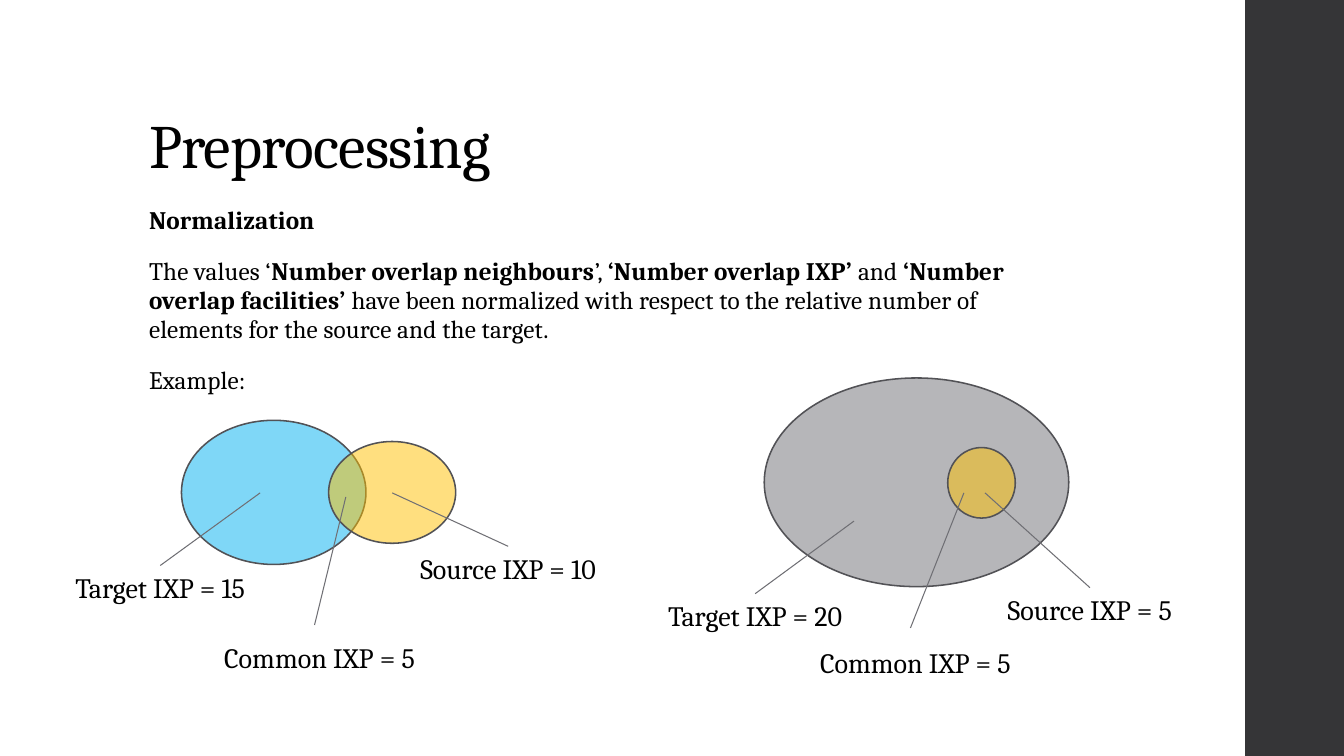
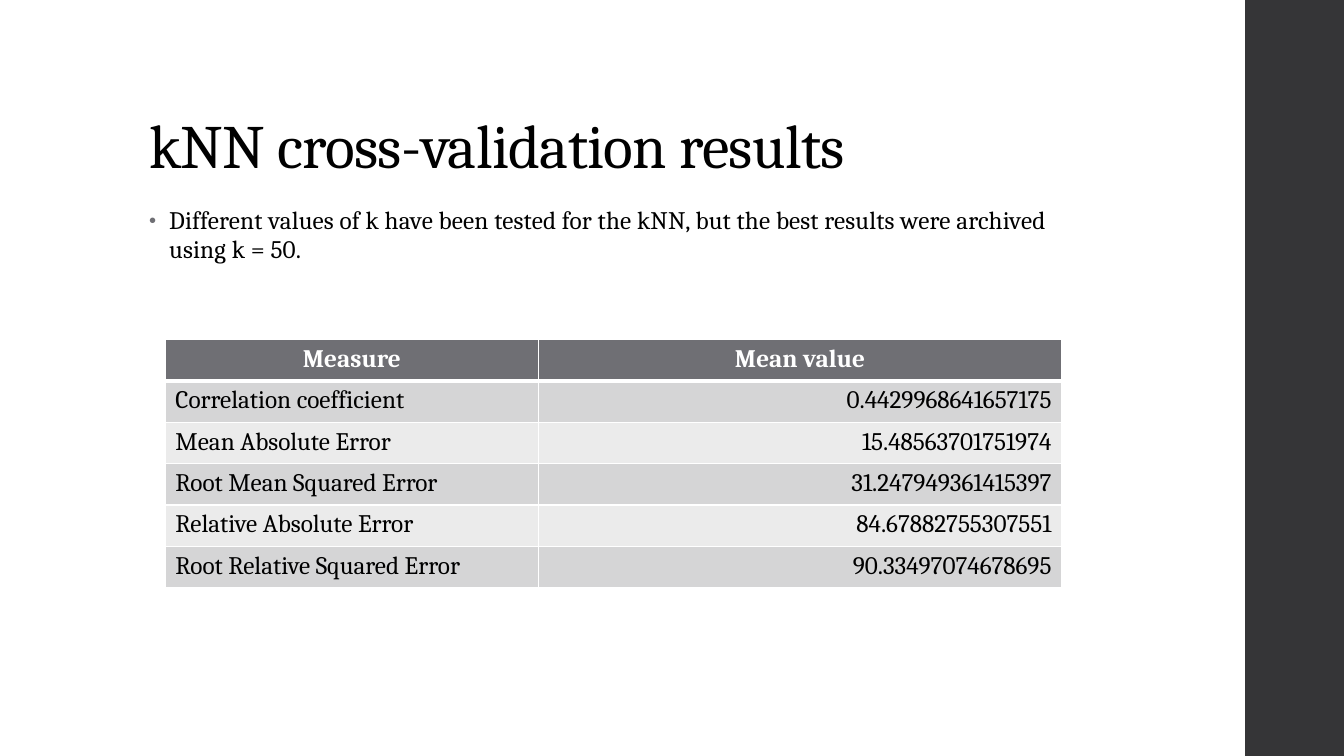
from lxml.etree import SubElement
from pptx import Presentation
from pptx.dml.color import RGBColor
from pptx.enum.shapes import MSO_CONNECTOR as Connector, MSO_SHAPE as Shape
from pptx.enum.text import MSO_ANCHOR as Anchor, PP_ALIGN as Align
from pptx.oxml.ns import qn
from pptx.util import Inches, Pt

COLORS = {
    "text": "000000", "white": "FFFFFF", "band": "353537", "outline": "525256",
    "gray": "6F6F74", "blue": "00B0F0", "gold": "FFC000",
    "row_dark": "D5D5D6", "row_light": "EBEBEB",
}
FONT = "Cambria"
TITLE_FORMAT = {"line_spacing": 0.9}
BODY_FORMAT = {"line_spacing": 0.95, "space_before": Pt(14), "space_after": Pt(2)}


def color(name):
    return RGBColor.from_string(COLORS[name])


def set_format(target, values):
    for name, value in values.items():
        setattr(target, name, value)


class Deck:
    """Holds the style and the current slide."""

    def __init__(self):
        self.prs = Presentation()
        set_format(self.prs, {"slide_width": Inches(13.33), "slide_height": Inches(7.5)})
        self.slide = None

    def new_slide(self, title):
        self.slide = self.prs.slides.add_slide(self.prs.slide_layouts[6])
        band = self.slide.shapes.add_shape(
            Shape.RECTANGLE, Inches(12.35), 0, Inches(0.98), Inches(7.5))
        band.shadow.inherit = False
        band.fill.solid()
        band.fill.fore_color.rgb = color("band")
        band.line.fill.background()
        heading = self.text_frame(1.38, 0.4, 10.6, 1.45)
        heading.vertical_anchor = Anchor.BOTTOM
        self.add_text(heading.paragraphs[0], title, 44, TITLE_FORMAT, tracking=-50)

    def text_frame(self, left, top, width, height, wrap=True):
        box = self.slide.shapes.add_textbox(*map(Inches, (left, top, width, height)))
        box.text_frame.word_wrap = wrap
        return box.text_frame

    def add_text(self, paragraph, text, size, layout, tint="text", tracking=0):
        """Fill a paragraph; parts between asterisks are bold."""
        set_format(paragraph, layout)
        for index, part in enumerate(text.split("*")):
            if not part:
                continue
            run = paragraph.add_run()
            run.text = part
            set_format(run.font, {"name": FONT, "size": Pt(size), "bold": index % 2 == 1})
            run.font.color.rgb = color(tint)
            if tracking:
                run._r.get_or_add_rPr().set("spc", str(tracking))

    def body(self, texts, bullets=False):
        frame = self.text_frame(1.38, 2, 9.4, 4.76)
        for index, text in enumerate(texts):
            paragraph = frame.add_paragraph() if index else frame.paragraphs[0]
            self.add_text(paragraph, text, 18, BODY_FORMAT, tracking=10)
            if bullets:
                self.bullet(paragraph)

    def bullet(self, paragraph):
        props = paragraph._p.get_or_add_pPr()
        props.set("marL", str(Inches(0.2)))
        props.set("indent", str(Inches(-0.2)))
        tint = SubElement(props, qn("a:buClr"))
        SubElement(tint, qn("a:srgbClr"), val=COLORS["gray"])
        SubElement(props, qn("a:buSzPct"), val="80000")
        SubElement(props, qn("a:buFont"), typeface="Arial")
        SubElement(props, qn("a:buChar"), char="•")

    def ellipse(self, left, top, width, height, tint):
        oval = self.slide.shapes.add_shape(
            Shape.OVAL, *map(Inches, (left, top, width, height)))
        oval.shadow.inherit = False
        oval.fill.solid()
        oval.fill.fore_color.rgb = color(tint)
        fill = oval._element.spPr.find(qn("a:solidFill"))
        SubElement(fill[0], qn("a:alpha"), val="50000")
        oval.line.color.rgb = color("outline")
        oval.line.width = Pt(1.1)

    def callout(self, text, center, top, start, end):
        """A centred label and the thin line that leads to its region."""
        width = 2.4
        label = self.text_frame(center - width / 2, top, width, 0.44, wrap=False)
        self.add_text(label.paragraphs[0], text, 20, {"alignment": Align.CENTER})
        leader = self.slide.shapes.add_connector(
            Connector.STRAIGHT, *map(Inches, start + end))
        leader.line.color.rgb = color("gray")
        leader.line.width = Pt(0.75)
        SubElement(leader._element.spPr, qn("a:effectLst"))

    def table(self, left, top, column_widths, row_height, rows):
        table = self.slide.shapes.add_table(
            len(rows), len(column_widths), Inches(left), Inches(top),
            Inches(sum(column_widths)), Inches(row_height * len(rows))).table
        for column, width in zip(table.columns, column_widths):
            column.width = Inches(width)
        for r, values in enumerate(rows):
            table.rows[r].height = Inches(row_height)
            for c, value in enumerate(values):
                cell = table.cell(r, c)
                self.borders(cell, top=3 if r == 1 else 1, bottom=3 if r == 0 else 1)
                cell.fill.solid()
                if r == 0:
                    fill, tint, align, value = "gray", "white", Align.CENTER, f"*{value}*"
                else:
                    fill, tint = "row_dark" if r % 2 else "row_light", "text"
                    align = Align.RIGHT if c else Align.LEFT
                cell.fill.fore_color.rgb = color(fill)
                self.add_text(cell.text_frame.paragraphs[0], value, 18,
                              {"alignment": align}, tint)

    def borders(self, cell, top, bottom):
        props = cell._tc.get_or_add_tcPr()
        for side, points in (("L", 1), ("R", 1), ("T", top), ("B", bottom)):
            line = SubElement(props, qn(f"a:ln{side}"), w=str(Pt(points)))
            fill = SubElement(line, qn("a:solidFill"))
            SubElement(fill, qn("a:srgbClr"), val=COLORS["white"])


def preprocessing(deck):
    deck.new_slide("Preprocessing")
    deck.body([
        "*Normalization*",
        "The values ‘*Number overlap neighbours*’, *‘Number overlap IXP’ *and "
        "*‘Number overlap facilities’ *have been normalized with respect to the "
        "relative number of elements for the source and the target.",
        "Example:",
    ])
    # Partly overlapping sets on the left, nested sets on the right
    for region in (
        (1.8, 4.17, 1.83, 1.43, "blue"),
        (3.26, 4.38, 1.26, 1.01, "gold"),
        (7.58, 3.75, 3.02, 2.07, "gray"),
        (9.4, 4.44, 0.67, 0.7, "gold"),
    ):
        deck.ellipse(*region)
    # Labels: text, centre, top, line start, line end
    for label in (
        ("Target IXP = 15", 1.59, 5.61, (1.59, 5.61), (2.58, 4.89)),
        ("Source IXP = 10", 5.04, 5.42, (5.04, 5.42), (3.89, 4.89)),
        ("Common IXP = 5", 3.17, 6.31, (3.12, 6.2), (3.43, 4.93)),
        ("Target IXP = 20", 7.49, 5.89, (7.49, 5.89), (8.47, 5.17)),
        ("Source IXP = 5", 10.81, 5.83, (10.81, 5.83), (9.77, 4.89)),
        ("Common IXP = 5", 9.08, 6.35, (9.03, 6.23), (9.56, 4.89)),
    ):
        deck.callout(*label)


def cross_validation(deck):
    deck.new_slide("kNN cross-validation results")
    deck.body(["Different values of k have been tested for the kNN, but the best "
               "results were archived using k = 50."], bullets=True)
    deck.table(1.64, 3.37, (3.7, 5.19), 0.41, [
        ("Measure", "Mean value"),
        ("Correlation coefficient", "0.4429968641657175"),
        ("Mean Absolute Error", "15.48563701751974"),
        ("Root Mean Squared Error", "31.247949361415397"),
        ("Relative Absolute Error", "84.67882755307551"),
        ("Root Relative Squared Error", "90.33497074678695"),
    ])


def main():
    deck = Deck()
    preprocessing(deck)
    cross_validation(deck)
    deck.prs.save("out.pptx")


if __name__ == "__main__":
    main()
